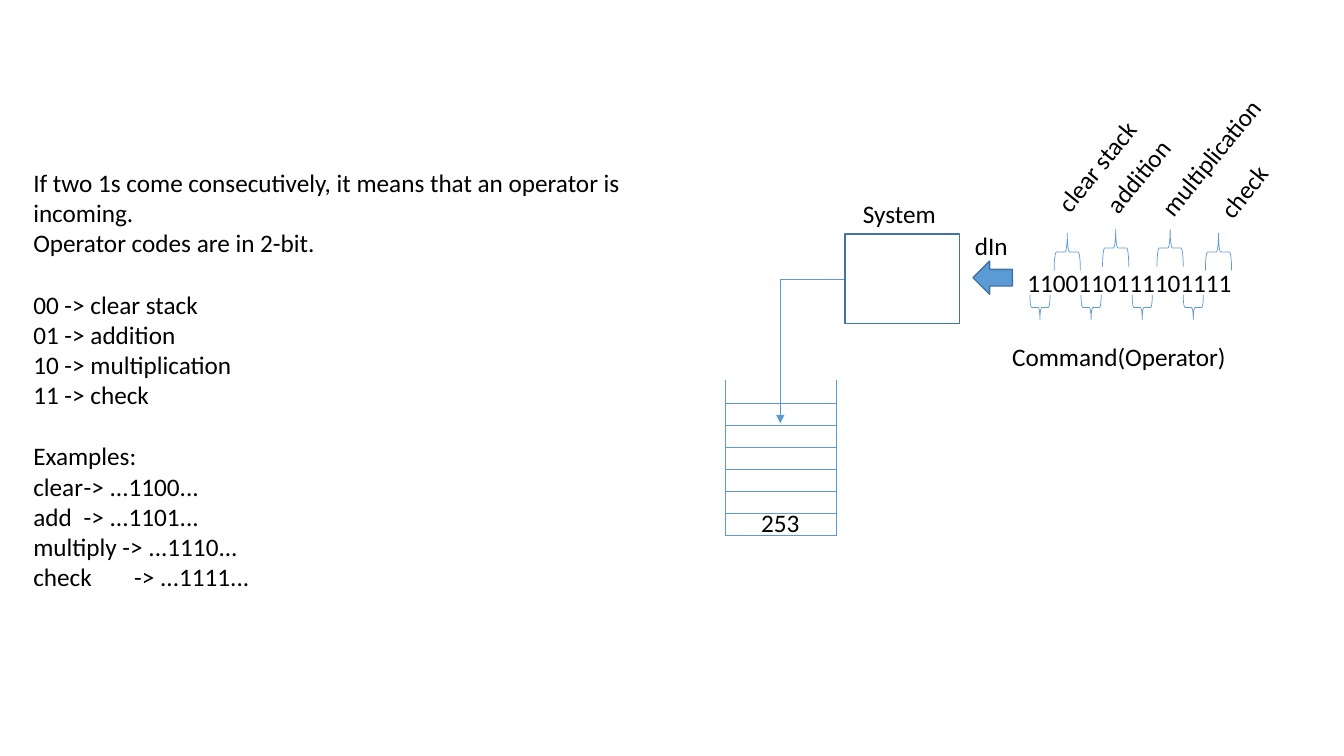
"""Build a slide that explains the operator codes of a stack system."""
from lxml import etree
from pptx import Presentation
from pptx.dml.color import RGBColor
from pptx.enum.shapes import MSO_CONNECTOR, MSO_SHAPE
from pptx.enum.text import MSO_ANCHOR, MSO_AUTO_SIZE
from pptx.oxml.ns import qn
from pptx.util import Inches, Pt

NOTES = [
    ["If two 1s come consecutively, it means that an operator is incoming.",
     "Operator codes are in 2-bit."],
    ["00 -> clear stack", "01 -> addition", "10 -> multiplication", "11 -> check"],
    ["Examples:", "clear\t-> ...1100...", "add\t-> ...1101...",
     "multiply -> ...1110...", "check\t-> ...1111..."],
]
TAB_STOPS = {"clear": 0.72, "add": 0.72, "check": 0.81}

LABELS = [
    ("253", (7.45, 4.98, 0.59, 0.4), False),
    ("1100110111101111", (10.09, 2.6, 2.25, 0.4), False),
    ("System", (8.46, 1.92, 0.99, 0.4), True),
    ("Command(Operator)", (9.94, 3.34, 2.34, 0.4), True),
    ("dIn", (9.57, 2.24, 0.53, 0.4), False),
]
OPERATORS = [
    ("clear stack", (10.2, 1.36, 1.49, 0.4), 309.2, (10.4, 2.37)),
    ("addition", (10.75, 1.52, 1.11, 0.4), 309.2, (10.88, 2.33)),
    ("multiplication", (11.16, 1.26, 1.85, 0.4), 309.2, (11.42, 2.33)),
    ("check", (11.94, 1.69, 0.8, 0.4), 308.7, (11.9, 2.37)),
]

STACK_LEFT, STACK_RIGHT = 7.19, 8.3
STACK_TOP, STACK_BOTTOM = 3.77, 5.31
SHELVES, SHELF_STEP = 7, 0.218
MARK_LEFT, MARK_TOP, MARK_STEP = 10.19, 2.95, 0.507

BLACK = RGBColor(0x00, 0x00, 0x00)
BLUE = RGBColor(0x5B, 0x9B, 0xD5)
DARK_BLUE = RGBColor(0x43, 0x73, 0x9E)
FONT, TEXT_SIZE, LINE_HEIGHT = "Calibri", Pt(18), Pt(22)
STRAIGHT, ELBOW = MSO_CONNECTOR.STRAIGHT, MSO_CONNECTOR.ELBOW
RECTANGLE, ARROW, BRACE = MSO_SHAPE.RECTANGLE, MSO_SHAPE.RIGHT_ARROW, MSO_SHAPE.LEFT_BRACE


def write(para, text, size=TEXT_SIZE, color=BLACK):
    """Add one formatted span to a paragraph."""
    span = para.add_run()
    span.text = text
    span.font.name, span.font.size = FONT, size
    span.font.color.rgb = color


def add_label(page, text, place, wrap=True, rotation=0):
    """Add a text box that holds one line."""
    box = page.shapes.add_textbox(*map(Inches, place))
    box.rotation = rotation
    box.text_frame.word_wrap = wrap
    write(box.text_frame.paragraphs[0], text)


def add_figure(page, kind, place, fill=None, line=BLUE, width=0.5, rotation=0):
    """Add a preset shape without a shadow."""
    figure = page.shapes.add_shape(kind, *map(Inches, place))
    figure.shadow.inherit = False
    figure.rotation = rotation
    if fill is None:
        figure.fill.background()
    else:
        figure.fill.solid()
        figure.fill.fore_color.rgb = fill
    figure.line.color.rgb = line
    figure.line.width = Pt(width)


def add_line(page, start, end, kind=STRAIGHT):
    """Add a thin blue connector and return it."""
    line = page.shapes.add_connector(kind, *map(Inches, start + end))
    line.line.color.rgb = BLUE
    line.line.width = Pt(0.5)
    etree.SubElement(line._element.spPr, qn("a:effectLst"))
    return line


def fill_notes(body):
    """Write the explanation into the body placeholder."""
    body.left, body.top, body.width, body.height = map(Inches, (0.23, 1.61, 6.67, 4.34))
    frame = body.text_frame
    frame.word_wrap, frame.auto_size = True, MSO_AUTO_SIZE.NONE
    frame.vertical_anchor = MSO_ANCHOR.TOP
    lines = [(text, number) for section in NOTES for number, text in enumerate(section)]
    for index, (text, number) in enumerate(lines):
        para = frame.add_paragraph() if index else frame.paragraphs[0]
        para.space_before = LINE_HEIGHT if index and number == 0 else Pt(0)
        write(para, text)
        settings = para._p.get_or_add_pPr()
        settings.set("marL", "0")
        settings.set("indent", "0")
        etree.SubElement(settings, qn("a:buNone"))
        word, tab, _ = text.partition("\t")
        if tab:
            stops = etree.SubElement(settings, qn("a:tabLst"))
            etree.SubElement(stops, qn("a:tab"), pos=str(Inches(TAB_STOPS[word])), algn="l")


def draw_stack(page):
    """Draw the open stack and the arrow that leads into it."""
    for x in (STACK_LEFT, STACK_RIGHT):
        add_line(page, (x, STACK_TOP), (x, STACK_BOTTOM))
    for shelf in range(SHELVES):
        y = STACK_BOTTOM - shelf * SHELF_STEP
        add_line(page, (STACK_LEFT, y), (STACK_RIGHT, y))
    push = add_line(page, (8.38, 2.77), (7.74, 4.2), ELBOW)
    push._element.spPr.find(qn("a:prstGeom")).set("prst", "bentConnector2")
    etree.SubElement(push.line._get_or_add_ln(), qn("a:tailEnd"), type="triangle")


def draw_system(page):
    """Draw the system, its input and the marked bit pairs."""
    add_figure(page, RECTANGLE, (8.38, 2.32, 1.14, 0.89), line=DARK_BLUE, width=1)
    add_figure(page, ARROW, (9.65, 2.59, 0.39, 0.33), BLUE, DARK_BLUE, 1, 180)
    for index, (name, place, angle, corner) in enumerate(OPERATORS):
        mark = (MARK_LEFT + index * MARK_STEP, MARK_TOP, 0.25, 0.2)
        add_figure(page, BRACE, mark, rotation=270)
        add_figure(page, BRACE, corner + (0.37, 0.26), rotation=90)
        add_label(page, name, place, rotation=angle)


def main():
    """Assemble and save the deck."""
    deck = Presentation()
    deck.slide_width, deck.slide_height = Inches(13.33), Inches(7.5)
    page = deck.slides.add_slide(deck.slide_layouts[1])
    title = page.shapes.title._element
    title.getparent().remove(title)
    fill_notes(page.placeholders[1])
    draw_stack(page)
    draw_system(page)
    for text, place, wrap in LABELS:
        add_label(page, text, place, wrap)
    deck.save("out.pptx")


if __name__ == "__main__":
    main()
